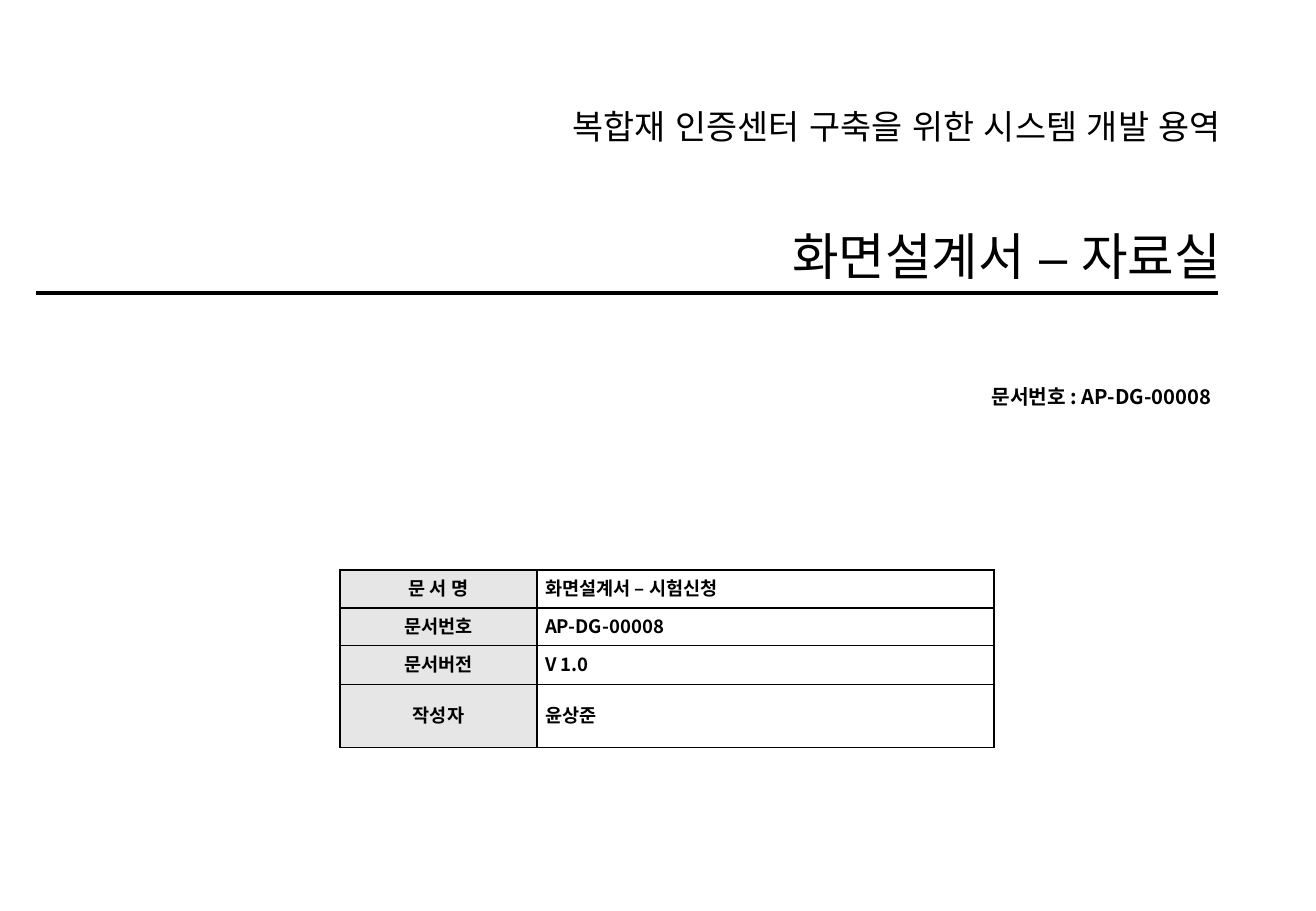
from lxml.etree import SubElement
from pptx import Presentation
from pptx.dml.color import RGBColor
from pptx.enum.shapes import MSO_CONNECTOR as CONN
from pptx.enum.text import MSO_ANCHOR as ANCHOR, PP_ALIGN as ALIGN
from pptx.oxml.ns import qn
from pptx.util import Inches, Pt

COLORS = {"ink": "000000", "label": "E6E6E6", "paper": "FFFFFF"}
HEAD_FONT, BODY_FONT = "Arial", "Noto Sans CJK KR"
SCALE = Inches(1) / 121.5


def px(n):
    return round(n * SCALE)


def rgb(name):
    return RGBColor.from_string(COLORS[name])


def add_run(p, text, size, font, bold=False):
    r = p.add_run()
    r.text = text
    r.font.size = Pt(size)
    r.font.name = font
    r.font.bold = bold
    r.font.color.rgb = rgb("ink")
    SubElement(r.font._element, qn("a:ea"), typeface=font)


def add_text(slide, box, text, size, font, bold=False):
    sp = slide.shapes.add_textbox(*map(px, box))
    tf = sp.text_frame
    tf.word_wrap = True
    p = tf.paragraphs[0]
    p.alignment = ALIGN.RIGHT
    add_run(p, text, size, font, bold)


def add_rule(slide, x, y, w):
    line = slide.shapes.add_connector(CONN.STRAIGHT, px(x), px(y), px(x + w), px(y))
    line.line.color.rgb = rgb("ink")
    line.line.width = Pt(2.5)
    SubElement(line._element.spPr, qn("a:effectLst"))


def add_heading(slide, box):
    x, y, w, h = box
    right = x + w + 15
    add_text(slide, (right - 775, y, 775, 53), "복합재 인증센터 구축을 위한 시스템 개발 용역", 20, HEAD_FONT)
    add_text(slide, (right - 876, y + h - 74, 876, 73), "화면설계서 – 자료실", 30, HEAD_FONT)
    add_rule(slide, x, y + h, w)


def add_borders(cell):
    tc_pr = cell._tc.get_or_add_tcPr()
    for i, side in enumerate(("lnL", "lnR", "lnT", "lnB")):
        ln = tc_pr.makeelement(qn(f"a:{side}"), {"w": str(Pt(1))})
        fill = SubElement(ln, qn("a:solidFill"))
        SubElement(fill, qn("a:srgbClr"), val=COLORS["ink"])
        tc_pr.insert(i, ln)


def fill_cell(cell, text, align, color):
    cell.fill.solid()
    cell.fill.fore_color.rgb = rgb(color)
    cell.vertical_anchor = ANCHOR.MIDDLE
    cell.margin_left = cell.margin_right = px(8)
    cell.margin_top = cell.margin_bottom = 0
    p = cell.text_frame.paragraphs[0]
    p.alignment = align
    p.line_spacing = Pt(14)
    add_run(p, text, 11, BODY_FONT, True)
    add_borders(cell)


def add_info_table(slide, box, entries, col_widths, row_heights):
    table = slide.shapes.add_table(len(entries), 2, *map(px, box)).table
    for col, width in zip(table.columns, col_widths):
        col.width = px(width)
    for row, height, (label, value) in zip(table.rows, row_heights, entries):
        row.height = px(height)
        fill_cell(row.cells[0], label, ALIGN.CENTER, "label")
        fill_cell(row.cells[1], value, ALIGN.JUSTIFY, "paper")


def build_cover(prs):
    slide = prs.slides.add_slide(prs.slide_layouts[6])
    add_heading(slide, (36, 100, 1182, 193))
    add_text(slide, (773, 378, 455, 42), "문서번호 : AP-DG-00008 ", 12, BODY_FONT, True)
    entries = [
        ("문 서 명", "화면설계서 – 시험신청"),
        ("문서번호", "AP-DG-00008"),
        ("문서버전", "V 1.0"),
        ("작성자", "윤상준"),
    ]
    add_info_table(slide, (340, 570, 654, 178), entries, (197, 457), (38, 38, 39, 63))


prs = Presentation()
prs.slide_width, prs.slide_height = Inches(10.83), Inches(7.5)
build_cover(prs)
prs.save("out.pptx")
